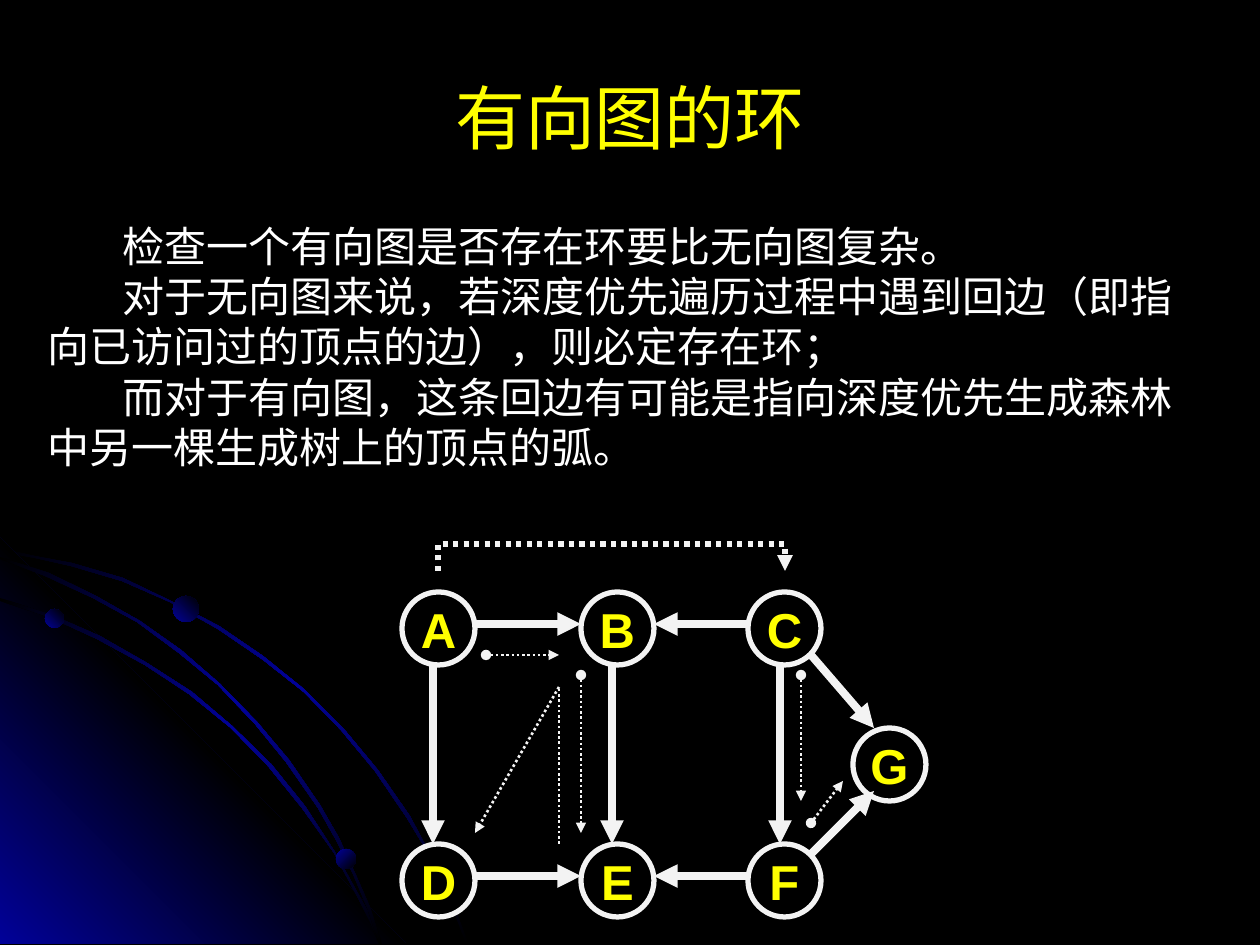
"""Build a slide on cycles in directed graphs, with a traversal diagram."""
from pptx import Presentation, util as u
from pptx.dml.color import RGBColor
from pptx.enum import dml, shapes as s, text as t
from pptx.oxml import parse_xml
from pptx.oxml.ns import nsdecls, qn

PX = u.Inches(1) / 126
BLACK = RGBColor(0x00, 0x00, 0x00)
BLUE = RGBColor(0x01, 0x01, 0x99)
PALE = RGBColor(0xF3, 0xF3, 0xF3)
WHITE = RGBColor(0xFF, 0xFF, 0xFF)
YELLOW = RGBColor(0xFF, 0xFF, 0x00)

TITLE = "有向图的环"
BODY = [
    "检查一个有向图是否存在环要比无向图复杂。",
    "对于无向图来说，若深度优先遍历过程中遇到回边（即指向已访问过的顶点的边），则必定存在环；",
    "而对于有向图，这条回边有可能是指向深度优先生成森林中另一棵生成树上的顶点的弧。",
]

OUTER = [
    (72, 563), (35, 556), (0, 548), (0, 552), (35, 558), (71, 566),
    (122, 581), (170, 602), (218, 629), (262, 659), (304, 692), (341, 730),
    (375, 771), (407, 818), (425, 848), (441, 879), (454, 911), (466, 944),
    (469, 944), (456, 911), (444, 879), (427, 848), (410, 816), (378, 770),
    (343, 728), (305, 690), (263, 656), (219, 626), (171, 601), (123, 578),
]
CORNER = [(406, 944), (0, 944), (0, 538)]
INNER = [
    (359, 900), (370, 922), (379, 944), (382, 944), (373, 920), (360, 897),
    (335, 852), (305, 806), (271, 764), (232, 726), (192, 692), (147, 663),
    (100, 636), (52, 615), (0, 598), (0, 601), (49, 617), (97, 639),
    (145, 665), (189, 694), (231, 728), (268, 766), (302, 808), (334, 853),
]
MIDDLE = [
    (0, 557), (0, 559), (45, 576), (93, 598), (137, 622), (179, 653),
    (218, 685), (255, 724), (286, 762), (318, 808), (336, 840), (353, 874),
    (368, 910), (379, 944), (382, 944), (370, 907), (355, 873), (339, 838),
    (320, 805), (289, 760), (257, 722), (220, 684), (181, 650), (140, 621),
    (96, 596), (49, 573),
]
GLOW = [BLACK, BLUE, BLACK]
ARCS = [(OUTER, GLOW, 45), (CORNER, [BLUE, BLACK, BLUE], 315),
        (INNER, GLOW, 45), (MIDDLE, GLOW, 45)]
DOTS = [(45, 609, 19, 315), (336, 849, 20, 45), (173, 596, 26, 315)]

SIZE = 73
NODES = {"A": (402, 592), "B": (581, 592), "C": (748, 592),
         "D": (402, 844), "E": (581, 844), "F": (748, 844), "G": (853, 728)}
EDGES = [
    (475, 624, 581, 624), (748, 624, 654, 624), (433, 665, 433, 844),
    (475, 876, 581, 876), (612, 665, 612, 844), (748, 876, 654, 876),
    (780, 665, 780, 844), (811, 655, 874, 728), (811, 854, 874, 791),
]
STEPS = [
    ((486, 655, 559, 655), "oval", "triangle"),
    ((581, 675, 581, 833), "oval", "triangle"),
    ((811, 823, 843, 781), "oval", "triangle"),
    ((801, 675, 801, 801), "oval", "triangle"),
    ((559, 844, 559, 687), None, None),
    ((559, 687, 475, 833), None, "triangle"),
]
JUMP = [(438, 571), (438, 548 - 4), (785, 548 - 4), (785, 571)]


def px(*nums):
    return [u.Emu(round(n * PX)) for n in nums]


def shade(shape, hues, angle):
    shape.shadow.inherit = False
    shape.line.fill.background()
    gap = 100000 // (len(hues) - 1)
    stops = "".join(f'<a:gs pos="{i * gap}"><a:srgbClr val="{hue}"/></a:gs>'
                    for i, hue in enumerate(hues))
    shape.fill.solid()
    old = shape.element.spPr.find(qn("a:solidFill"))
    old.getparent().replace(old, parse_xml(
        f'<a:gradFill {nsdecls("a")} rotWithShape="1"><a:gsLst>{stops}</a:gsLst>'
        f'<a:lin ang="{angle * 60000}" scaled="1"/></a:gradFill>'))


def trace(tree, points, close):
    pen = tree.build_freeform(*points[0], scale=PX)
    pen.add_line_segments(points[1:], close=close)
    return pen.convert_to_shape()


def stroke(shape, width, dotted=False, head=None, tail=None):
    shape.line.color.rgb = PALE
    shape.line.width = u.Pt(width)
    if dotted:
        shape.line.dash_style = dml.MSO_LINE.ROUND_DOT
    ln = shape.element.spPr.find(qn("a:ln"))
    for tag, kind in (("headEnd", head), ("tailEnd", tail)):
        if kind:
            ln.append(parse_xml(f'<a:{tag} {nsdecls("a")} type="{kind}"/>'))


def link(tree, ends, *style):
    line = tree.add_connector(s.MSO_CONNECTOR.STRAIGHT, *px(*ends))
    stroke(line, *style)
    line.element.spPr.append(parse_xml(f'<a:effectLst {nsdecls("a")}/>'))


def style(font, name, size, hue, bold=False):
    font.name, font.size, font.bold = name, u.Pt(size), bold
    font.color.rgb = hue


def place(shape, *box):
    shape.left, shape.top, shape.width, shape.height = px(*box)


def write(tree):
    title = tree.title
    place(title, 63, 38, 1134, 157)
    title.text_frame.text = TITLE
    title.text_frame.vertical_anchor = t.MSO_ANCHOR.MIDDLE
    head = title.text_frame.paragraphs[0]
    head.alignment = t.PP_ALIGN.CENTER
    style(head.font, "Arial", 40, YELLOW)

    frame = tree.add_textbox(*px(35, 214, 1191, 318)).text_frame
    frame.word_wrap = True
    frame.text = "\n".join(BODY)
    for para in frame.paragraphs:
        para._p.get_or_add_pPr().set("indent", str(px(75)[0]))
        style(para.font, "Times New Roman", 24, WHITE)


def draw(tree):
    for points, hues, angle in ARCS:
        shade(trace(tree, points, True), hues, angle)
    for x, y, size, angle in DOTS:
        dot = tree.add_shape(s.MSO_SHAPE.OVAL, *px(x, y, size, size))
        shade(dot, [BLUE, BLACK], angle)


def graph(tree):
    for name, spot in NODES.items():
        node = tree.add_shape(s.MSO_SHAPE.OVAL, *px(*spot, SIZE, SIZE))
        node.shadow.inherit = False
        node.fill.solid()
        node.fill.fore_color.rgb = BLACK
        stroke(node, 3)
        frame = node.text_frame
        frame.text = name
        frame.word_wrap = False
        frame.vertical_anchor = t.MSO_ANCHOR.MIDDLE
        para = frame.paragraphs[0]
        para.alignment = t.PP_ALIGN.CENTER
        style(para.font, "Arial", 28, YELLOW, True)
    for ends in EDGES:
        link(tree, ends, 4.5, False, None, "triangle")
    for ends, head, tail in STEPS:
        link(tree, ends, 1.5, True, head, tail)
    jump = trace(tree, JUMP, False)
    jump.shadow.inherit = False
    jump.fill.background()
    stroke(jump, 3, True, None, "triangle")


def main():
    deck = Presentation()
    deck.slide_width, deck.slide_height = px(1260, 945)
    slide = deck.slides.add_slide(deck.slide_layouts[5])
    slide.background.fill.solid()
    slide.background.fill.fore_color.rgb = BLACK
    draw(slide.shapes)
    write(slide.shapes)
    graph(slide.shapes)
    deck.save("out.pptx")


if __name__ == "__main__":
    main()
